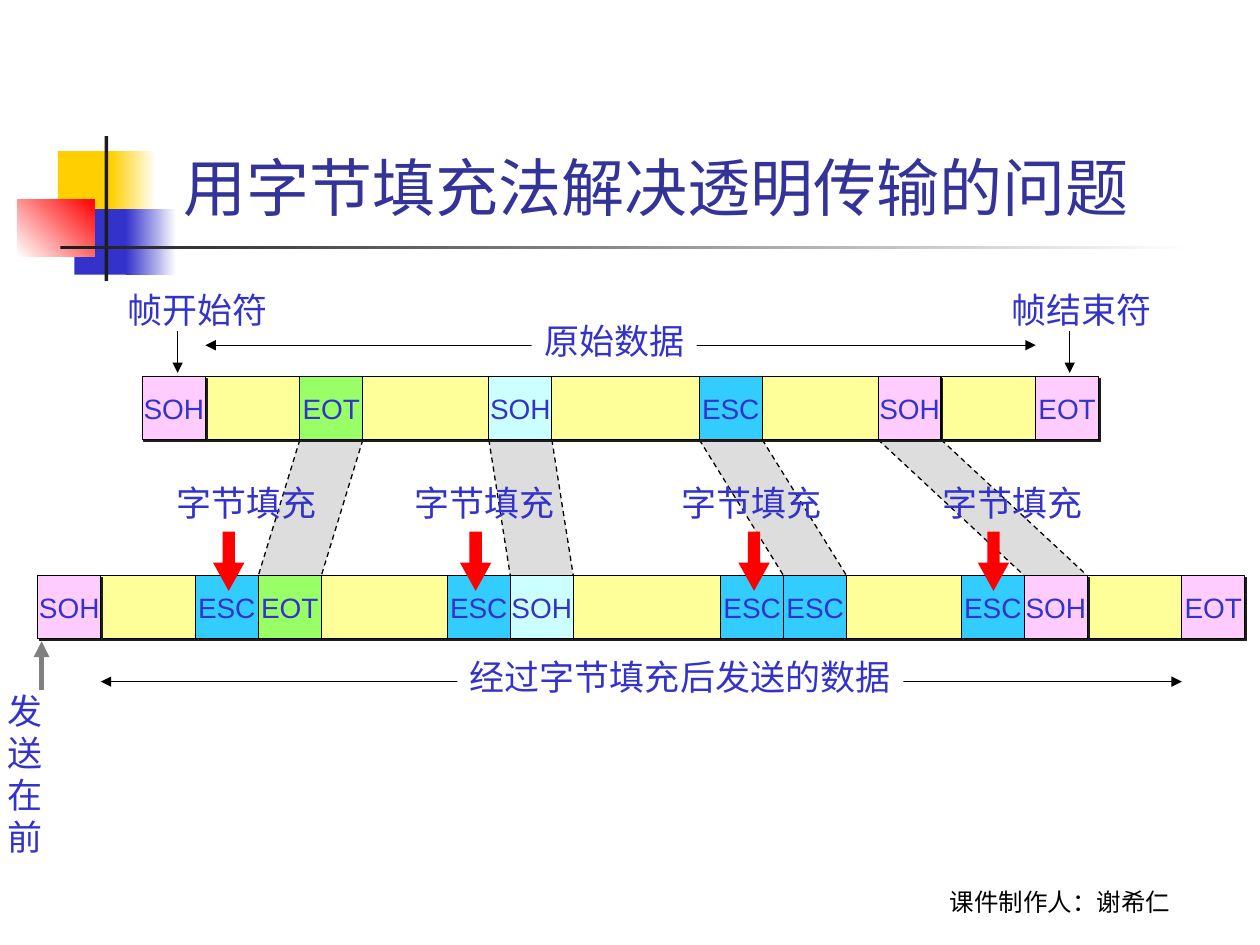
from lxml import etree
from pptx import Presentation
from pptx import util as u
from pptx.dml.color import RGBColor
from pptx.enum import dml, shapes, text
from pptx.oxml.ns import qn

THEME = {
    "latin": "Arial", "footer_font": "Cabin",
    "title_size": 36, "label_size": 20, "cell_size": 16, "footer_size": 14,
    "title": "333399", "text": "3333CC", "line": "000000", "white": "FFFFFF",
    "gold": "FFCF01", "blue": "3333CC", "red": "FF0000", "dark": "1C1C1C",
    "data": "FFFF99", "frame": "FFCCFF", "eot": "99FF66", "soh": "CCFFFF",
    "esc": "33CCFF", "band": "DDDDDD", "send": "808080",
}

TITLE = "用字节填充法解决透明传输的问题"
FOOTER = "课件制作人：谢希仁"
CELL = 0.5

# left, top, width, height, colours (two make a gradient), gradient angle
DECOR = [
    (0.46, 1.2, 0.48, 0.52, ["gold"], 0),
    (0.88, 1.2, 0.36, 0.52, ["gold", "white"], 0),
    (0.59, 1.66, 0.46, 0.52, ["blue"], 0),
    (1, 1.66, 0.4, 0.52, ["blue", "white"], 0),
    (0.14, 1.58, 0.61, 0.46, ["white", "red"], 45),
    (0.83, 1.08, 0.03, 1.15, ["dark"], 0),
    (0.48, 1.95, 9, 0.03, ["dark", "white"], 0),
]

# Each row: top, left of the data bar, right of the data bar, cells (left, text, colour)
ORIGINAL = (2.99, 1.63, 8.22, [
    (1.13, "SOH", "frame"), (2.38, "EOT", "eot"), (3.88, "SOH", "soh"),
    (5.55, "ESC", "esc"), (6.97, "SOH", "frame"), (8.22, "EOT", "frame")])
STUFFED = (4.57, 0.8, 9.38, [
    (0.3, "SOH", "frame"), (1.55, "ESC", "esc"), (2.05, "EOT", "eot"),
    (3.55, "ESC", "esc"), (4.05, "SOH", "soh"), (5.72, "ESC", "esc"),
    (6.22, "ESC", "esc"), (7.63, "ESC", "esc"), (8.13, "SOH", "frame"),
    (9.38, "EOT", "frame")])

BANDS = [(2.38, 2.05), (3.88, 4.05), (5.55, 6.22), (6.97, 8.13)]  # upper, lower left
STUFFING = [(1.3, 1.69), (3.19, 3.65), (5.31, 5.86), (7.38, 7.76)]  # label, arrow left
SPANS = [  # line y, left, right, label left, label top, label width, label
    (2.74, 1.63, 8.22, 4.22, 2.49, 1.31, "原始数据"),
    (5.41, 0.8, 9.38, 3.63, 5.15, 3.54, "经过字节填充后发送的数据")]
MARKERS = [(0.91, 1.41, "帧开始符"), (7.93, 8.49, "帧结束符")]  # label left, arrow x


def rgb(name):
    return RGBColor.from_string(THEME[name])


def paint(sp, colours, angle=0, outlined=False):
    sp.shadow.inherit = False
    if len(colours) == 2:
        sp.fill.gradient()
        sp.fill.gradient_angle = angle
        for stop, colour in zip(sp.fill.gradient_stops, colours):
            stop.color.rgb = rgb(colour)
    else:
        sp.fill.solid()
        sp.fill.fore_color.rgb = rgb(colours[0])
    if outlined:
        sp.line.color.rgb = rgb("line")
        sp.line.width = u.Pt(0.75)
    else:
        sp.line.fill.background()


def add_box(s, x, y, w, h, colours, angle=0, outlined=False, kind=shapes.MSO_SHAPE.RECTANGLE):
    sp = s.shapes.add_shape(kind, *map(u.Inches, (x, y, w, h)))
    paint(sp, colours, angle, outlined)
    return sp


def add_hard_shadow(sp):
    effects = sp._element.spPr.find(qn("a:effectLst"))
    shadow = etree.SubElement(effects, qn("a:outerShdw"), dist="17780", dir="2700000",
                              algn="ctr", rotWithShape="0")
    etree.SubElement(shadow, qn("a:srgbClr"), val=THEME["dark"])


def write(sp, lines, size, colour="text", font="latin", align=text.PP_ALIGN.LEFT,
          anchor=text.MSO_ANCHOR.TOP, wrap=False):
    tf = sp.text_frame
    tf.word_wrap = wrap
    tf.vertical_anchor = anchor
    tf.text = lines
    for p in tf.paragraphs:
        p.alignment = align
        p.font.name = THEME[font]
        p.font.size = u.Pt(THEME[size])
        p.font.color.rgb = rgb(colour)


def add_label(s, x, y, w, h, lines, **style):
    write(s.shapes.add_textbox(*map(u.Inches, (x, y, w, h))), lines,
          **{"size": "label_size", **style})


def add_line(s, start, end, colour="line", width=0.75, ends=(), dashed=False):
    """Draw a line; ends lists headEnd and/or tailEnd for arrowheads."""
    cx = s.shapes.add_connector(shapes.MSO_CONNECTOR.STRAIGHT,
                                *map(u.Inches, (*start, *end)))
    cx.line.color.rgb = rgb(colour)
    cx.line.width = u.Pt(width)
    if dashed:
        cx.line.dash_style = dml.MSO_LINE.DASH
    for tag in ends:
        etree.SubElement(cx.line._get_or_add_ln(), qn("a:" + tag), type="triangle")
    etree.SubElement(cx._element.spPr, qn("a:effectLst"))


def add_row(s, top, left, right, cells):
    add_hard_shadow(add_box(s, left, top, right - left, CELL, ["data"], outlined=True))
    for x, word, colour in cells:
        sp = add_box(s, x, top, CELL, CELL, [colour], outlined=True)
        if colour == "frame":
            add_hard_shadow(sp)
        write(sp, word, "cell_size", align=text.PP_ALIGN.CENTER,
              anchor=text.MSO_ANCHOR.MIDDLE)


def add_bands(s):
    top, bottom = ORIGINAL[0] + CELL, STUFFED[0]
    for upper, lower in BANDS:
        corners = [(upper, top), (upper + CELL, top), (lower + CELL, bottom), (lower, bottom)]
        points = [(u.Inches(x), u.Inches(y)) for x, y in corners]
        builder = s.shapes.build_freeform(*points[0])
        builder.add_line_segments(points[1:])
        paint(builder.convert_to_shape(), ["band"])
        for dx in (0, CELL):
            add_line(s, (upper + dx, top), (lower + dx, bottom), dashed=True)


def main():
    prs = Presentation()
    prs.slide_width, prs.slide_height = u.Inches(10), u.Inches(7.5)
    s = prs.slides.add_slide(prs.slide_layouts[6])

    for *place, colours, angle in DECOR:
        add_box(s, *place, colours, angle)
    centred = {"align": text.PP_ALIGN.CENTER, "anchor": text.MSO_ANCHOR.BOTTOM, "wrap": True}
    add_label(s, 1.21, 0.23, 7.99, 1.6, TITLE, size="title_size", colour="title", **centred)
    add_label(s, 6.83, 6.82, 3.17, 0.5, FOOTER, size="footer_size", colour="line",
              font="footer_font", **centred)

    add_bands(s)
    for row in (ORIGINAL, STUFFED):
        add_row(s, *row)

    for y, left, right, x, top, width, words in SPANS:
        add_line(s, (left, y), (right, y), ends=("headEnd", "tailEnd"))
        write(add_box(s, x, top, width, 0.44, ["white"]), words, "label_size")
    for x, arrow_x, words in MARKERS:
        add_label(s, x, 2.24, 1.31, 0.44, words)
        add_line(s, (arrow_x, 2.63), (arrow_x, 2.96), ends=("tailEnd",))
    for x, arrow_x in STUFFING:
        add_label(s, x, 3.77, 1.31, 0.44, "字节填充")
        arrow = add_box(s, arrow_x, 4.22, 0.25, 0.47, ["red"], kind=shapes.MSO_SHAPE.DOWN_ARROW)
        arrow.adjustments[0], arrow.adjustments[1] = 0.39, 0.9

    add_line(s, (0.33, 5.48), (0.33, 5.09), "send", 3, ("tailEnd",))
    add_label(s, -0.04, 5.42, 0.75, 0.77, "发送\n在前")
    prs.save("out.pptx")


if __name__ == "__main__":
    main()
